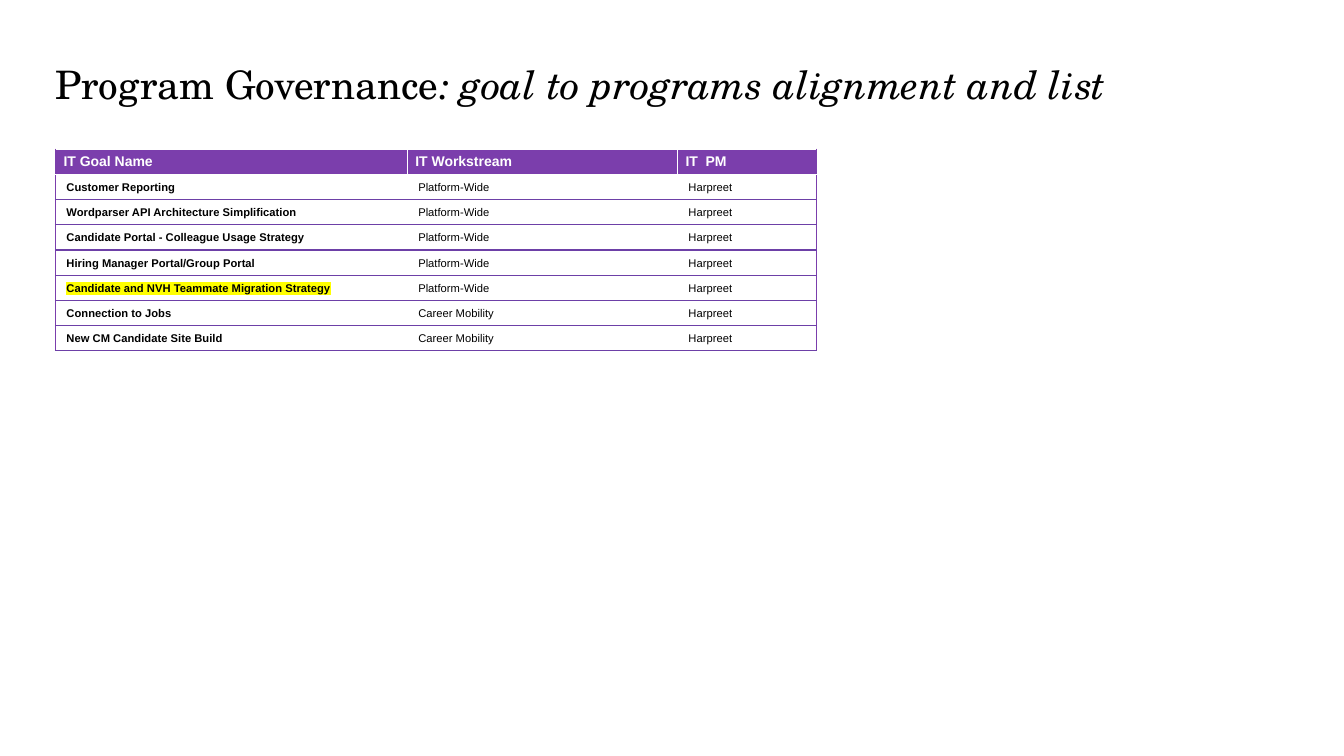
from pptx import Presentation
from pptx.dml.color import RGBColor
from pptx.enum.text import MSO_ANCHOR as Anchor
from pptx.oxml.ns import qn
from pptx.util import Pt
from lxml.etree import SubElement as Sub, Element

PURPLE, RULE, WHITE, BLACK = "7B3EAC", "6D40A7", "FFFFFF", "000000"


def write(para, text, color, mark=None, **form):
    """Add a run with font values from form, and a highlight if mark is set."""
    run = para.add_run()
    run.text = text
    run.font.color.rgb = RGBColor.from_string(color)
    for key, value in form.items():
        setattr(run.font, key, value)
    if mark:
        light = Element(qn("a:highlight"))
        Sub(light, qn("a:srgbClr"), val=mark)
        run.font._element.find(qn("a:solidFill")).addnext(light)


def border(cell, **sides):
    """Draw each side (L, R, T, B) in its colour, or hide it if None."""
    props = cell._tc.get_or_add_tcPr()
    for side in "LRTB":
        line = Sub(props, qn("a:ln" + side), w=str(Pt(1)))
        if sides[side]:
            Sub(Sub(line, qn("a:solidFill")), qn("a:srgbClr"), val=sides[side])
        else:
            Sub(line, qn("a:noFill"))


deck = Presentation()
deck.slide_width, deck.slide_height = Pt(960), Pt(540)
slide = deck.slides.add_slide(deck.slide_layouts[6])

# Title
box = slide.shapes.add_textbox(Pt(39.6), Pt(43.2), Pt(866.9), Pt(36))
frame = box.text_frame
frame.word_wrap = True
for side in ("left", "right", "top", "bottom"):
    setattr(frame, "margin_" + side, 0)
title = frame.paragraphs[0]
title.space_after = Pt(6)
serif = {"size": Pt(28), "name": "TeX Gyre Schola"}
write(title, "Program Governance", BLACK, **serif)
write(title, ": goal to programs alignment and list", BLACK, italic=True, **serif)

# Goal table
rows = [
    ("IT Goal Name", "IT Workstream", "IT  PM"),
    ("Customer Reporting", "Platform-Wide", "Harpreet"),
    ("Wordparser API Architecture Simplification", "Platform-Wide", "Harpreet"),
    ("Candidate Portal - Colleague Usage Strategy", "Platform-Wide", "Harpreet"),
    ("Hiring Manager Portal/Group Portal", "Platform-Wide", "Harpreet"),
    ("Candidate and NVH Teammate Migration Strategy", "Platform-Wide", "Harpreet"),
    ("Connection to Jobs", "Career Mobility", "Harpreet"),
    ("New CM Candidate Site Build", "Career Mobility", "Harpreet"),
]
marked = (5, 0)
widths = (251.3, 193, 99.3)
last = len(widths) - 1
table = slide.shapes.add_table(
    len(rows), len(widths), Pt(39.6), Pt(106.6), Pt(sum(widths)), Pt(18 * len(rows))
).table
table.horz_banding = False
for col, width in zip(table.columns, widths):
    col.width = Pt(width)

head_pad = {"margin_left": 5.8, "margin_right": 5.8, "margin_top": 2.9, "margin_bottom": 2.9}
body_pad = {"margin_left": 0.7, "margin_right": 0.7, "margin_top": 0.7, "margin_bottom": 0}
for r, row in enumerate(rows):
    table.rows[r].height = Pt(18)
    head = r == 0
    inner = WHITE if head else None
    for c, text in enumerate(row):
        cell = table.cell(r, c)
        border(
            cell,
            L=PURPLE if c == 0 else inner,
            R=PURPLE if c == last else inner,
            T=WHITE if r < 2 else RULE,
            B=WHITE if head else RULE,
        )
        cell.fill.solid()
        cell.fill.fore_color.rgb = RGBColor.from_string(PURPLE if head else WHITE)
        cell.vertical_anchor = Anchor.MIDDLE
        for key, value in (head_pad if head else body_pad).items():
            setattr(cell, key, Pt(value))
        para = cell.text_frame.paragraphs[0]
        if not head:
            para._p.get_or_add_pPr().set("marL", str(Pt(7.2)))
        write(
            para, text, WHITE if head else BLACK,
            mark="FFFF00" if (r, c) == marked else None,
            size=Pt(10 if head else 8), name="Arial", bold=head or c == 0,
        )

deck.save("out.pptx")
